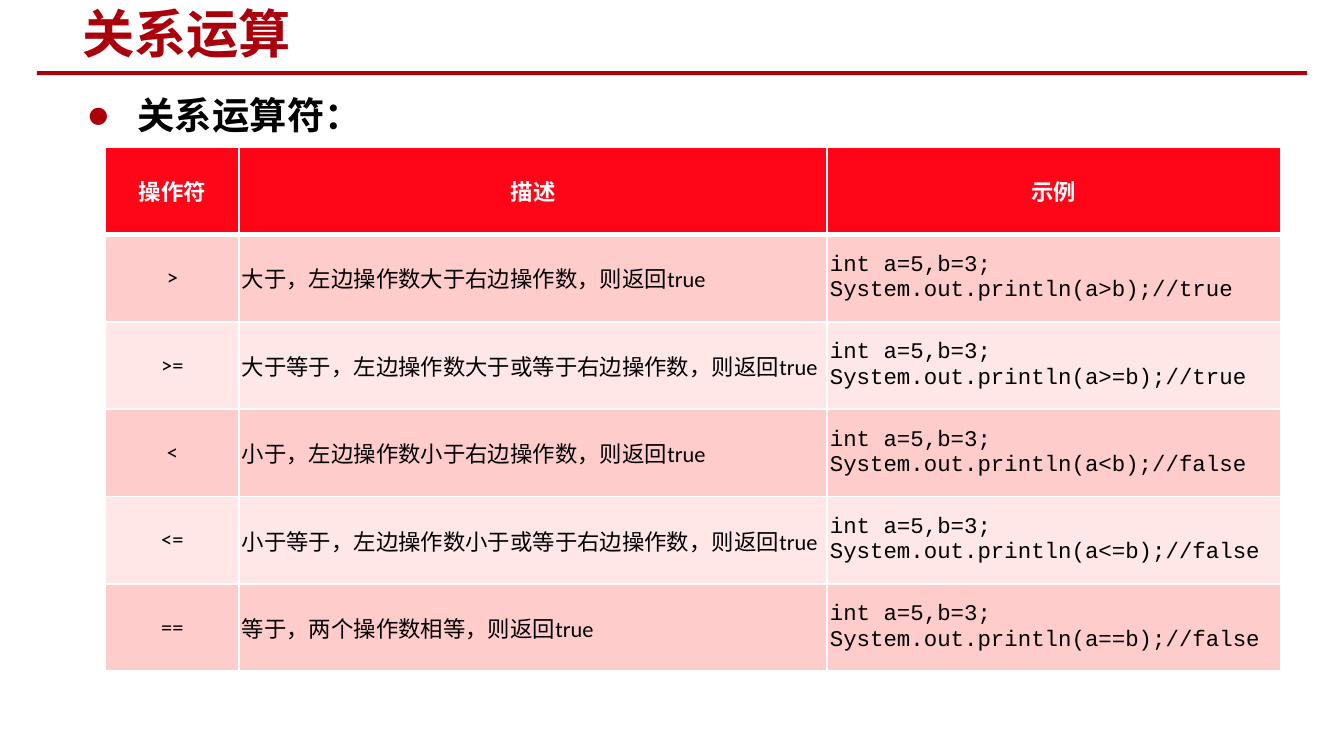
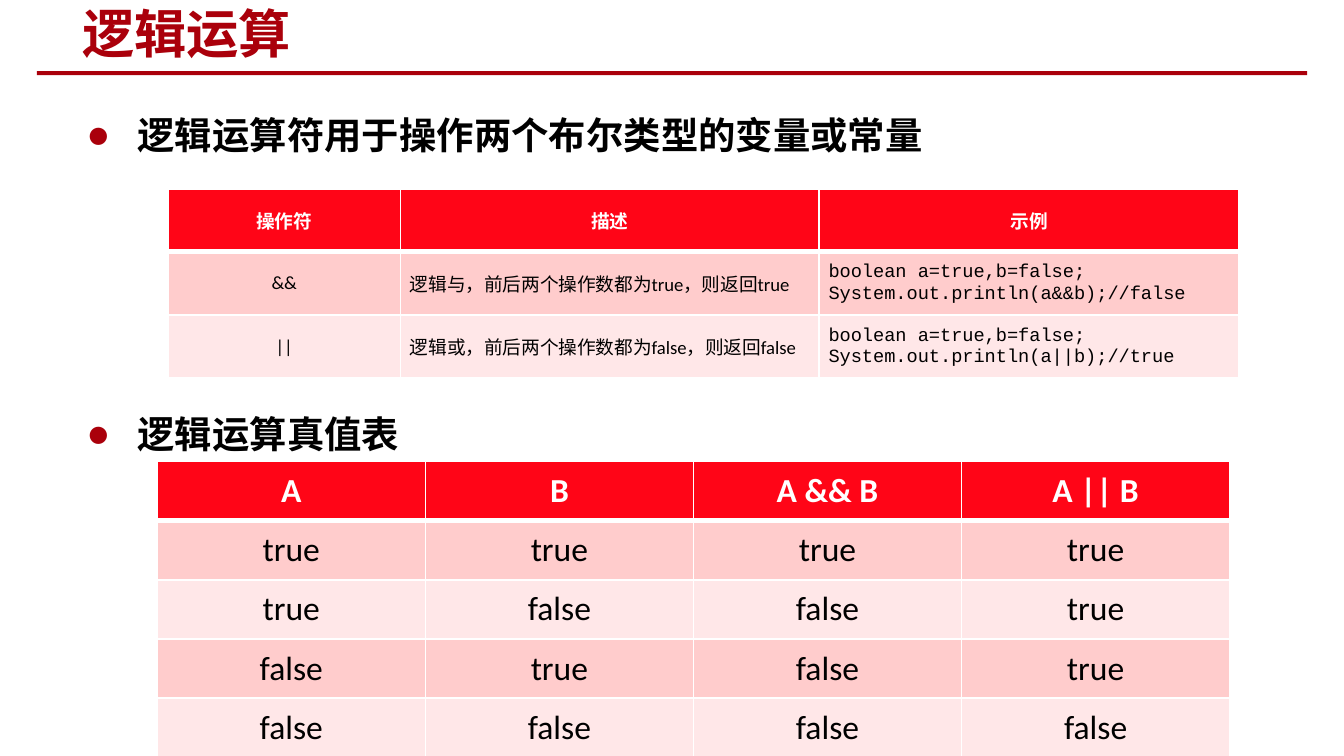
from lxml import etree
from pptx import Presentation
from pptx import util as u
from pptx.dml.color import RGBColor
from pptx.enum import shapes, text
from pptx.oxml.ns import qn

SCALE = 4572
RED, HEADER, BANDS = "AA000B", "FF0517", ("FFCCCC", "FFE7E8")
BLACK, WHITE = "000000", "FFFFFF"
CJK, LATIN, MONO = "Noto Sans CJK SC", "Calibri", "Courier New"
CENTER, JUSTIFY = text.PP_ALIGN.CENTER, text.PP_ALIGN.JUSTIFY
WORD, PROSE, CODE = (CENTER, LATIN), (JUSTIFY, LATIN), (JUSTIFY, MONO)
OPERATOR_HEADS = ["操作符", "描述", "示例"]


def px(length):
    """Turn whole px into EMU."""
    return u.Emu(length * SCALE)


def color(code):
    """Give the colour of a hex string."""
    return RGBColor.from_string(code)


def apply(target, formats):
    """Set every attribute in a dict of format values."""
    for key, value in formats.items():
        setattr(target, key, value)


def add_run(paragraph, wording, size, face, ink, bold):
    """Write one run in a Latin face and the shared Chinese face."""
    run = paragraph.add_run()
    run.text = wording
    apply(run.font, dict(size=u.Pt(size), name=face, bold=bold))
    run.font.color.rgb = color(ink)
    etree.SubElement(run.font._element, qn("a:ea"), typeface=CJK)


def add_frame(slide, box):
    """Add a wrapping text box and return its text frame."""
    frame = slide.shapes.add_textbox(*map(px, box)).text_frame
    frame.word_wrap = True
    return frame


def add_header(slide, title):
    """Draw the red rule and the title above it."""
    rule = slide.shapes.add_shape(shapes.MSO_SHAPE.RECTANGLE, *map(px, (55, 106, 1890, 6)))
    rule.shadow.inherit = False
    rule.fill.solid()
    rule.fill.fore_color.rgb = color(RED)
    rule.line.fill.background()
    frame = add_frame(slide, (103, 4, 1060, 90))
    frame.vertical_anchor = text.MSO_ANCHOR.MIDDLE
    add_run(frame.paragraphs[0], title, 28, CJK, RED, True)


def add_points(slide, box, points, gap=0):
    """Write bulleted points, set apart by a gap in points."""
    frame = add_frame(slide, box)
    for number, point in enumerate(points):
        paragraph = frame.add_paragraph() if number else frame.paragraphs[0]
        props = paragraph._p.get_or_add_pPr()
        props.set("marL", str(px(75)))
        props.set("indent", str(px(-75)))
        tint = etree.SubElement(props, qn("a:buClr"))
        etree.SubElement(tint, qn("a:srgbClr"), val=RED)
        etree.SubElement(props, qn("a:buFont"), typeface=LATIN)
        etree.SubElement(props, qn("a:buChar"), char="●")
        paragraph.line_spacing = 1.5
        if number:
            paragraph.space_before = u.Pt(gap)
        add_run(paragraph, point, 20, CJK, BLACK, True)


def add_borders(cell, weights):
    """Rule the sides of a cell in white, with weights in points by side."""
    props = cell._tc.get_or_add_tcPr()
    for place, (side, weight) in enumerate(weights.items()):
        line = etree.Element(qn(f"a:ln{side}"), w=str(u.Pt(weight)))
        fill = etree.SubElement(line, qn("a:solidFill"))
        etree.SubElement(fill, qn("a:srgbClr"), val=WHITE)
        props.insert(place, line)


def add_grid(slide, corner, widths, height, rows, styles, size, inset):
    """Draw a table with a red head and two alternating row tints."""
    box = (*corner, sum(widths), height * len(rows))
    table = slide.shapes.add_table(len(rows), len(widths), *map(px, box)).table
    for column, width in zip(table.columns, widths):
        column.width = px(width)
    for r, row in enumerate(rows):
        table.rows[r].height = px(height)
        for c, wording in enumerate(row):
            cell = table.cell(r, c)
            apply(cell, dict(margin_left=px(inset), margin_right=px(inset), margin_top=0,
                             margin_bottom=0, vertical_anchor=text.MSO_ANCHOR.MIDDLE))
            cell.fill.solid()
            cell.fill.fore_color.rgb = color(BANDS[(r - 1) % 2] if r else HEADER)
            add_borders(cell, dict(L=1, R=1, T=3 if r == 1 else 1, B=1 if r else 3))
            align, face = styles[c] if r else WORD
            for number, line in enumerate(wording.split("\n")):
                frame = cell.text_frame
                paragraph = frame.add_paragraph() if number else frame.paragraphs[0]
                paragraph.alignment = align
                add_run(paragraph, line, size, face, BLACK if r else WHITE, r == 0)


def build_relations(slide):
    """Build the slide on relational operators."""
    add_header(slide, "关系运算")
    add_points(slide, (110, 94, 1796, 454), ["关系运算符："])
    operators = [
        (">", "大于，左边操作数大于右边操作数", "true"),
        (">=", "大于等于，左边操作数大于或等于右边操作数", "true"),
        ("<", "小于，左边操作数小于右边操作数", "false"),
        ("<=", "小于等于，左边操作数小于或等于右边操作数", "false"),
        ("==", "等于，两个操作数相等", "false"),
    ]
    rows = [(sign, f"{meaning}，则返回true",
             f"int a=5,b=3;\nSystem.out.println(a{sign}b);//{result}")
            for sign, meaning, result in operators]
    add_grid(slide, (157, 219), (199, 875, 675), 130, [OPERATOR_HEADS, *rows],
             (WORD, PROSE, CODE), 12, 4)


def build_logic(slide):
    """Build the slide on logical operators and their truth table."""
    add_header(slide, "逻辑运算")
    add_points(slide, (110, 124, 1828, 1000),
               ["逻辑运算符用于操作两个布尔类型的变量或常量", "逻辑运算真值表"], 124)
    operators = [("&&", "与", "true", "false"), ("||", "或", "false", "true")]
    rows = [(sign, f"逻辑{name}，前后两个操作数都为{value}，则返回{value}",
             f"boolean a=true,b=false;\nSystem.out.println(a{sign}b);//{result}")
            for sign, name, value, result in operators]
    add_grid(slide, (250, 281), (346, 623, 625), 94, [OPERATOR_HEADS, *rows],
             (WORD, PROSE, CODE), 10, 14)
    truth = [[str(value).lower() for value in (a, b, a and b, a or b)]
             for a in (True, False) for b in (True, False)]
    add_grid(slide, (234, 687), [399] * 4, 88, [["A", "B", "A && B", "A || B"], *truth],
             [WORD] * 4, 18, 14)


def main():
    """Build and save both slides."""
    deck = Presentation()
    apply(deck, dict(slide_width=px(2000), slide_height=px(1125)))
    for build in (build_relations, build_logic):
        build(deck.slides.add_slide(deck.slide_layouts[6]))
    deck.save("out.pptx")


if __name__ == "__main__":
    main()
